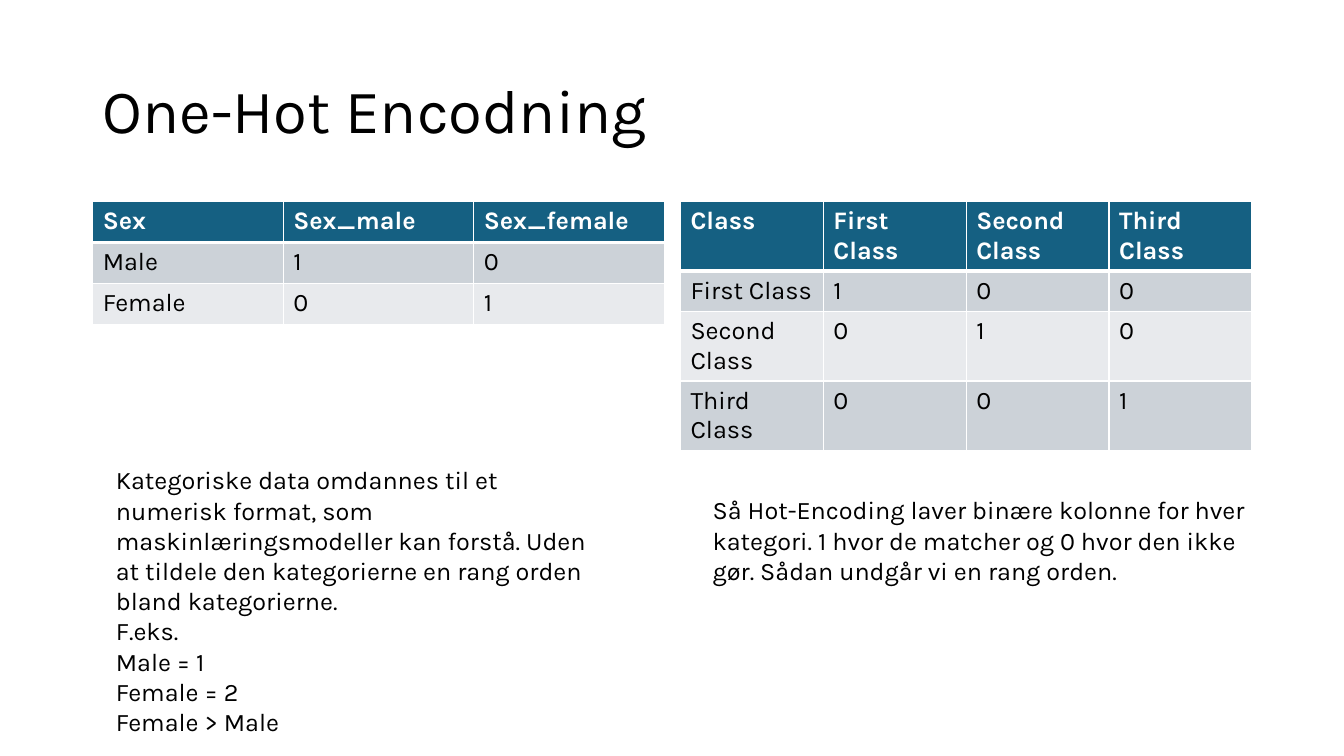
from dataclasses import dataclass

from lxml.etree import SubElement
from pptx import Presentation
from pptx.dml.color import RGBColor
from pptx.enum.text import MSO_ANCHOR, MSO_AUTO_SIZE, PP_ALIGN
from pptx.oxml.ns import qn
from pptx.util import Inches, Pt

WIDE, HIGH = Inches(13.33), Inches(7.5)
FONT = "Karla"
HUES = {
    "text": "000000",
    "light": "FFFFFF",
    "head": "156082",
    "odd": "CCD2D8",
    "even": "E8EAED",
}


@dataclass(frozen=True)
class Area:
    """A place on the slide, in percent of its width and height."""
    left: float
    top: float
    width: float
    height: float

    def box(self) -> tuple[int, int, int, int]:
        return (int(WIDE * self.left / 100), int(HIGH * self.top / 100),
                int(WIDE * self.width / 100), int(HIGH * self.height / 100))


@dataclass(frozen=True)
class Coding:
    """A one-hot table: its left edge, head cells and category names."""
    left: float
    head: list[str]
    names: list[str]

    def rows(self) -> list[list[str]]:
        size = len(self.names)
        return [self.head] + [
            [name] + [str(int(i == j)) for j in range(size)]
            for i, name in enumerate(self.names)
        ]


@dataclass(frozen=True)
class Note:
    area: Area
    text: str


TITLE = Area(6.9, 5.33, 86.27, 19.33)
TABLE_TOP, TABLE_WIDTH, ROW = 26.67, 42.53, 5.41

CLASSES = ["First Class", "Second Class", "Third Class"]
CODINGS = [
    Coding(6.9, ["Sex", "Sex_male", "Sex_female"], ["Male", "Female"]),
    Coding(50.63, ["Class"] + CLASSES, CLASSES),
]
NOTES = [
    Note(Area(7.88, 60.8, 37.73, 33.6),
         "Kategoriske data omdannes til et numerisk format, som "
         "maskinlæringsmodeller kan forstå. Uden at tildele den kategorierne "
         "en rang orden bland kategorierne.\n"
         "F.eks. \vMale = 1\nFemale = 2\nFemale > Male"),
    Note(Area(52.29, 64.8, 41.56, 13.47),
         "Så Hot-Encoding laver binære kolonne for hver kategori. 1 hvor de "
         "matcher og 0 hvor den ikke gør. Sådan undgår vi en rang orden."),
]


def style(frame, size: int, hue: str = "text", bold: bool = False) -> None:
    for para in frame.paragraphs:
        font = para.font
        font.name, font.size, font.bold = FONT, Pt(size), bold
        font.color.rgb = RGBColor.from_string(HUES[hue])


def border(cell, row: int) -> None:
    """Draw white edges, with a thick one below the head row."""
    props = cell._tc.get_or_add_tcPr()
    thick = {0: "lnB", 1: "lnT"}.get(row)
    for side in ("lnL", "lnR", "lnT", "lnB"):
        width = Pt(3 if side == thick else 1)
        line = SubElement(props, qn(f"a:{side}"), w=str(width))
        fill = SubElement(line, qn("a:solidFill"))
        SubElement(fill, qn("a:srgbClr"), val=HUES["light"])


def add_title(slide, text: str) -> None:
    title = slide.shapes.title
    title.left, title.top, title.width, title.height = TITLE.box()
    frame = title.text_frame
    frame.text = text
    frame.vertical_anchor = MSO_ANCHOR.MIDDLE
    para = frame.paragraphs[0]
    para.alignment, para.line_spacing = PP_ALIGN.LEFT, 0.9
    style(frame, 44)


def add_coding(slide, coding: Coding) -> None:
    rows = coding.rows()
    area = Area(coding.left, TABLE_TOP, TABLE_WIDTH, ROW * len(rows))
    table = slide.shapes.add_table(
        len(rows), len(coding.head), *area.box()).table
    for i, row in enumerate(rows):
        back = "head" if i == 0 else "odd" if i % 2 else "even"
        for j, text in enumerate(row):
            cell = table.cell(i, j)
            cell.text = text
            style(cell.text_frame, 18, "text" if i else "light", i == 0)
            border(cell, i)
            cell.fill.solid()
            cell.fill.fore_color.rgb = RGBColor.from_string(HUES[back])


def add_note(slide, note: Note) -> None:
    frame = slide.shapes.add_textbox(*note.area.box()).text_frame
    frame.word_wrap = True
    frame.auto_size = MSO_AUTO_SIZE.SHAPE_TO_FIT_TEXT
    frame.text = note.text
    style(frame, 18)


def main() -> None:
    deck = Presentation()
    deck.slide_width, deck.slide_height = WIDE, HIGH
    slide = deck.slides.add_slide(deck.slide_layouts.get_by_name("Title Only"))
    add_title(slide, "One-Hot Encodning")
    for coding in CODINGS:
        add_coding(slide, coding)
    for note in NOTES:
        add_note(slide, note)
    deck.save("out.pptx")


if __name__ == "__main__":
    main()
